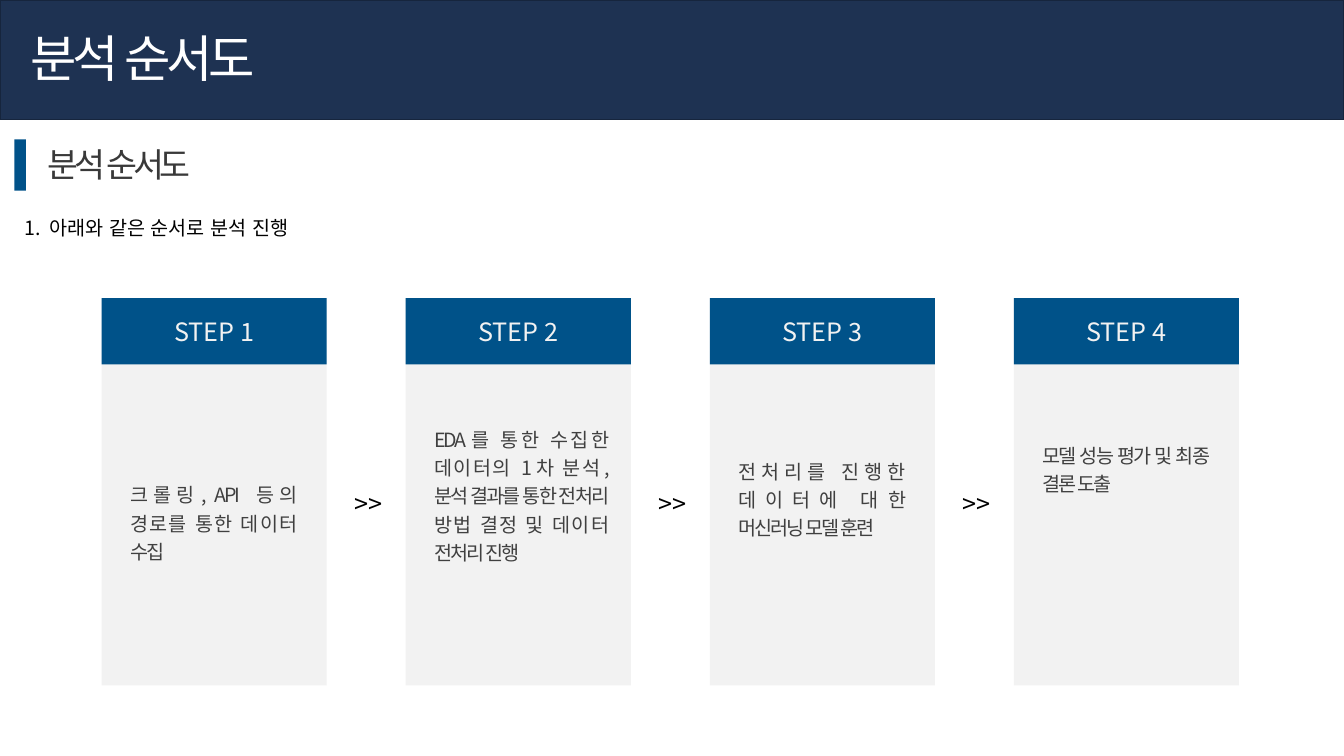
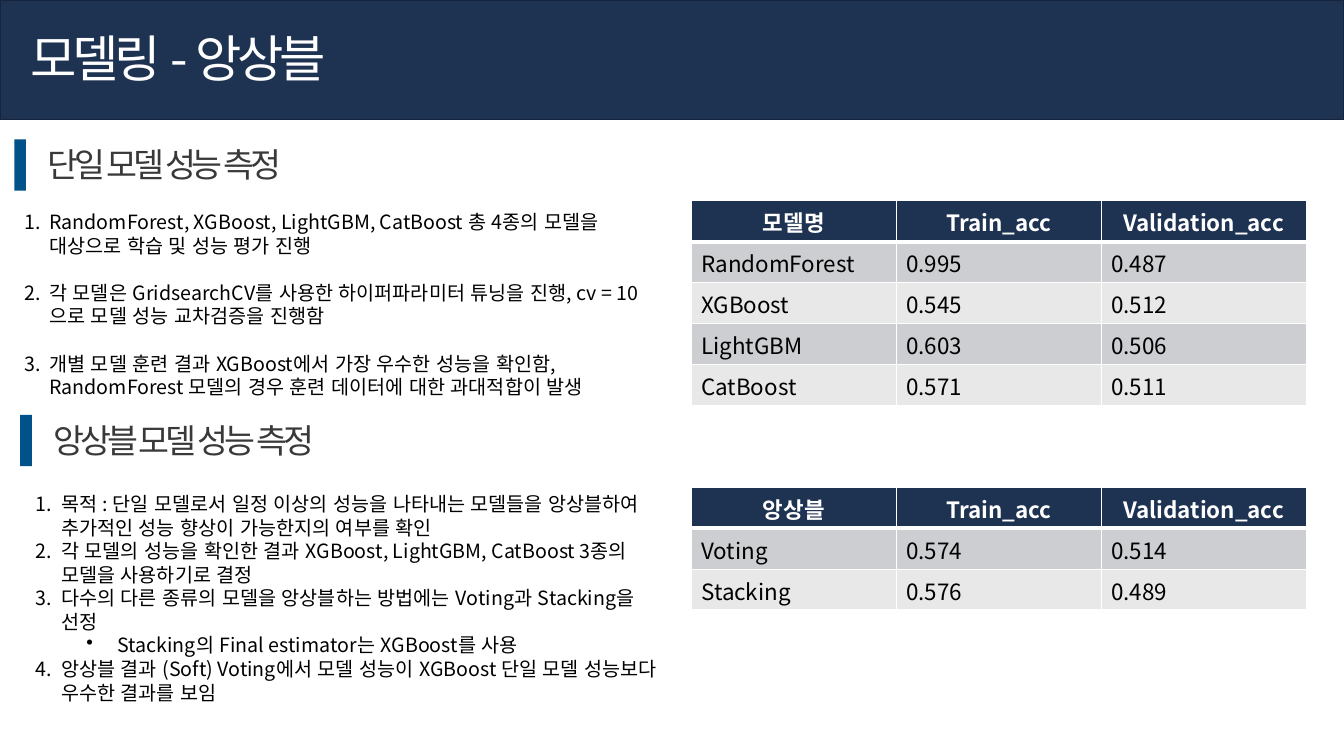
import lxml.etree
import pptx
import pptx.chart.data
import pptx.dml.color
import pptx.enum.shapes
import pptx.enum.text
import pptx.oxml.ns
import pptx.util

FONT = "Noto Sans CJK KR"
NAVY, BLUE, GRAY = "1E3252", "005289", "F2F2F2"
WHITE, BLACK = "FFFFFF", "000000"
BANDS = ["E8E8E9", "CDCED1"]

presentation = pptx.Presentation()
presentation.slide_width = pptx.util.Inches(13.33)
presentation.slide_height = pptx.util.Inches(7.5)
COLUMN = presentation.slide_width / 160
ROW = presentation.slide_height / 90

point = pptx.util.Pt
color = pptx.dml.color.RGBColor.from_string
align = pptx.enum.text.PP_ALIGN
anchor = pptx.enum.text.MSO_ANCHOR
qualified = pptx.oxml.ns.qn

TITLE = {"font": {"size": point(36)}, "color": WHITE, "tracking": -300}
HEADING = {"font": {"size": point(24)}, "color": "393939", "tracking": -300}
LIST = {"font": {"size": point(14)}, "color": BLACK}
SPACED_LIST = {**LIST, "paragraph": {"space_after": point(17)}}
CHEVRON = {"font": {"size": point(18)}, "color": BLACK}
STEP = {"font": {"size": point(18)}, "color": GRAY, "paragraph": {"alignment": align.CENTER}}
STEP_BODY = {
    "font": {"size": point(14)},
    "color": "404040",
    "tracking": -150,
    "paragraph": {"alignment": align.JUSTIFY, "line_spacing": 1.2},
}
TABLE_HEAD = {
    "font": {"size": point(16), "bold": True},
    "color": WHITE,
    "paragraph": {"alignment": align.CENTER},
}
TABLE_BODY = {"font": {"size": point(16), "bold": False}, "color": BLACK}
MARKS = {
    "number": (0.25, -0.25, "buAutoNum", {"type": "arabicPeriod"}),
    "bullet": (0.81, -0.31, "buChar", {"char": "•"}),
}


def add_box(slide, left, top, width, height, fill=None):
    area = [round(left * COLUMN), round(top * ROW), round(width * COLUMN), round(height * ROW)]
    if fill is None:
        shape = slide.shapes.add_textbox(*area)
    else:
        shape = slide.shapes.add_shape(pptx.enum.shapes.MSO_SHAPE.RECTANGLE, *area)
        shape.shadow.inherit = False
        shape.fill.solid()
        shape.fill.fore_color.rgb = color(fill)
        shape.line.fill.background()
    shape.text_frame.word_wrap = True
    return shape


def write(text_frame, lines, style):
    for index, (text, mark) in enumerate(lines):
        paragraph = text_frame.add_paragraph() if index else text_frame.paragraphs[0]
        for name, value in style.get("paragraph", {}).items():
            setattr(paragraph, name, value)
        run = paragraph.add_run()
        run.text = text
        for name, value in {"name": FONT, **style["font"]}.items():
            setattr(run.font, name, value)
        run.font.color.rgb = color(style["color"])
        run_format = run._r.get_or_add_rPr()
        run_format.set("lang", "ko-KR")
        run_format.set("spc", str(style.get("tracking", 0)))
        lxml.etree.SubElement(run_format, qualified("a:ea"), typeface=FONT)
        if mark:
            margin, indent, tag, attributes = MARKS[mark]
            paragraph.level = int(mark == "bullet")
            paragraph_format = paragraph._p.get_or_add_pPr()
            paragraph_format.set("marL", str(pptx.util.Inches(margin)))
            paragraph_format.set("indent", str(pptx.util.Inches(indent)))
            lxml.etree.SubElement(paragraph_format, qualified("a:" + tag), attributes)


pages = [
    {
        "title": "분석 순서도",
        "headings": [("분석 순서도", 1.7, 16.6)],
        "lists": [((1.7, 25.1, 117.2, 4.1), LIST, [("아래와 같은 순서로 분석 진행", "number")])],
        "steps": [
            ("크롤링, API 등의 경로를 통한 데이터 수집", 56.4, 22.1),
            (
                "EDA를 통한 수집한 데이터의 1차 분석, 분석 결과를 통한 전처리 방법 결정 및 데이터 전처리 진행",
                49.8,
                23,
            ),
            ("전처리를 진행한 데이터에 대한 머신러닝 모델 훈련", 53.6, 22.1),
            ("모델 성능 평가 및 최종 결론 도출", 51.7, 22.1),
        ],
        "tables": [],
    },
    {
        "title": "모델링 - 앙상블",
        "headings": [("단일 모델 성능 측정", 1.7, 16.6), ("앙상블 모델 성능 측정", 2.4, 49.4)],
        "lists": [
            (
                (1.7, 24.4, 77.3, 23.9),
                SPACED_LIST,
                [
                    ("RandomForest, XGBoost, LightGBM, CatBoost 총 4종의 모델을 대상으로 학습 및 성능 평가 진행", "number"),
                    ("각 모델은 GridsearchCV를 사용한 하이퍼파라미터 튜닝을 진행, cv = 10으로 모델 성능 교차검증을 진행함", "number"),
                    ("개별 모델 훈련 결과 XGBoost에서 가장 우수한 성능을 확인함, RandomForest 모델의 경우 훈련 데이터에 대한 과대적합이 발생", "number"),
                ],
            ),
            (
                (3.1, 58, 77.3, 26.6),
                LIST,
                [
                    ("목적 : 단일 모델로서 일정 이상의 성능을 나타내는 모델들을 앙상블하여 추가적인 성능 향상이 가능한지의 여부를 확인", "number"),
                    ("각 모델의 성능을 확인한 결과 XGBoost, LightGBM, CatBoost 3종의 모델을 사용하기로 결정", "number"),
                    ("다수의 다른 종류의 모델을 앙상블하는 방법에는 Voting과 Stacking을 선정", "number"),
                    ("Stacking의 Final estimator는 XGBoost를 사용", "bullet"),
                    ("앙상블 결과 (Soft) Voting에서 모델 성능이 XGBoost 단일 모델 성능보다 우수한 결과를 보임", "number"),
                ],
            ),
        ],
        "steps": [],
        "tables": [
            (
                23.9,
                [
                    ("모델명", "Train_acc", "Validation_acc"),
                    ("RandomForest", "0.995", "0.487"),
                    ("XGBoost", "0.545", "0.512"),
                    ("LightGBM", "0.603", "0.506"),
                    ("CatBoost", "0.571", "0.511"),
                ],
            ),
            (
                58,
                [
                    ("앙상블", "Train_acc", "Validation_acc"),
                    ("Voting", "0.574", "0.514"),
                    ("Stacking", "0.576", "0.489"),
                ],
            ),
        ],
    },
]

STEP_LEFT, STEP_TOP, STEP_WIDTH, STEP_PITCH = 12.1, 35.5, 26.8, 36.2
TABLE_LEFT, TABLE_COLUMN, TABLE_ROW = 82.3, 24.4, 4.88

for page in pages:
    slide = presentation.slides.add_slide(presentation.slide_layouts[6])

    band = add_box(slide, 0, 0, 160, 14.2, NAVY)
    band.line.color.rgb = color("16253D")
    band.line.width = point(1)
    title = add_box(slide, 2.4, 2.6, 150, 8.5)
    write(title.text_frame, [(page["title"], None)], TITLE)

    for text, left, top in page["headings"]:
        add_box(slide, left, top, 1.4, 6.1, BLUE)
        heading = add_box(slide, left + 2.8, top, 70, 6)
        write(heading.text_frame, [(text, None)], HEADING)

    for area, style, lines in page["lists"]:
        write(add_box(slide, *area).text_frame, lines, style)

    for index, (text, top, width) in enumerate(page["steps"]):
        left = STEP_LEFT + index * STEP_PITCH
        add_box(slide, left, STEP_TOP, STEP_WIDTH, 46.1, GRAY)
        header = add_box(slide, left, STEP_TOP, STEP_WIDTH, 7.9, BLUE)
        header.text_frame.vertical_anchor = anchor.MIDDLE
        write(header.text_frame, [(f"STEP {index + 1}", None)], STEP)
        body = add_box(slide, left + 2.2, top, width, 18)
        write(body.text_frame, [(text, None)], STEP_BODY)
        if index:
            chevron = add_box(slide, left - 7.3, 57.6, 7, 5.3)
            write(chevron.text_frame, [(">>", None)], CHEVRON)

    for top, records in page["tables"]:
        table = slide.shapes.add_table(
            len(records),
            len(records[0]),
            round(TABLE_LEFT * COLUMN),
            round(top * ROW),
            round(TABLE_COLUMN * len(records[0]) * COLUMN),
            round(TABLE_ROW * len(records) * ROW),
        ).table
        for row_index, record in enumerate(records):
            widths = {"lnL": 1, "lnR": 1, "lnT": 1, "lnB": 1}
            if row_index < 2:
                widths["lnT" if row_index else "lnB"] = 3
            for column_index, text in enumerate(record):
                cell = table.cell(row_index, column_index)
                cell_format = cell._tc.get_or_add_tcPr()
                for side, width in widths.items():
                    border = lxml.etree.SubElement(cell_format, qualified("a:" + side), w=str(point(width)))
                    solid = lxml.etree.SubElement(border, qualified("a:solidFill"))
                    lxml.etree.SubElement(solid, qualified("a:srgbClr"), val=WHITE)
                cell.fill.solid()
                cell.fill.fore_color.rgb = color(BANDS[row_index % 2] if row_index else NAVY)
                write(cell.text_frame, [(text, None)], TABLE_BODY if row_index else TABLE_HEAD)

presentation.save("out.pptx")
